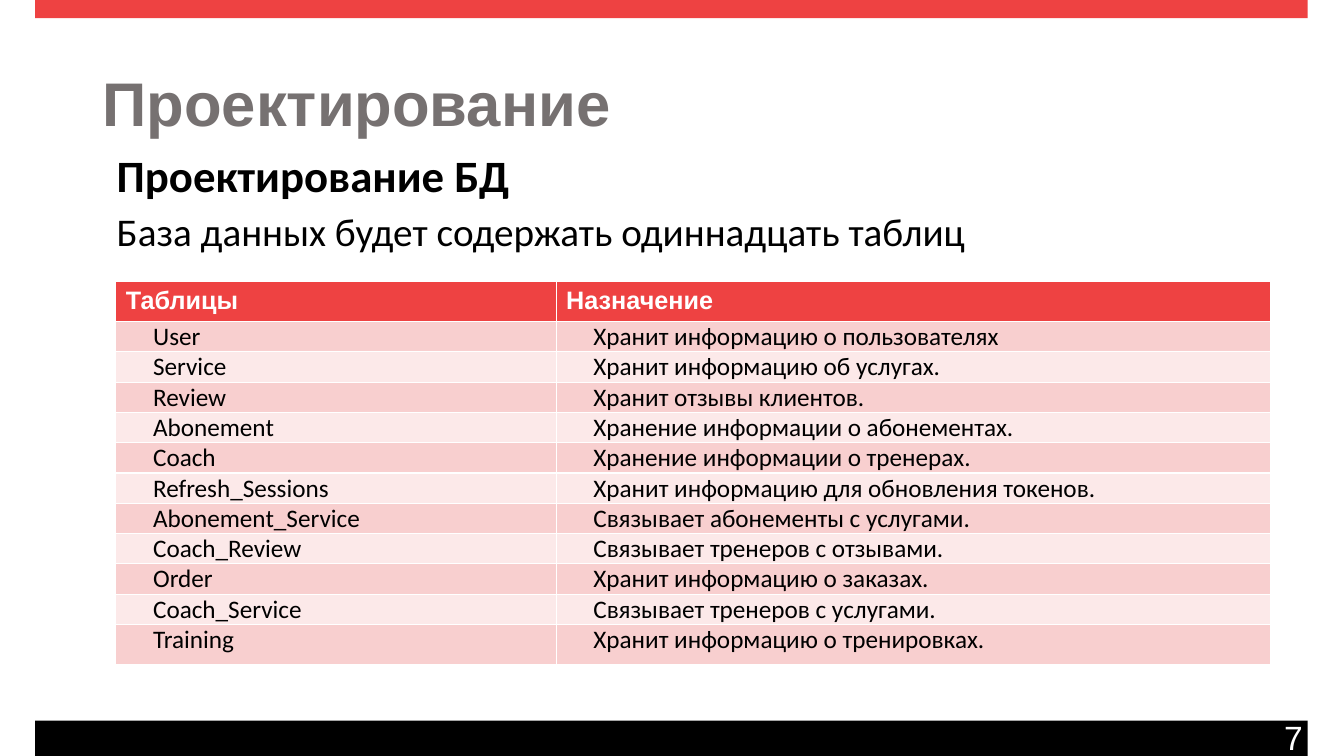
from dataclasses import dataclass

from pptx import Presentation
from pptx import util as u
from pptx.dml.color import RGBColor
from pptx.enum import shapes, text


@dataclass(frozen=True)
class Theme:
    red: str = "EE4242"
    black: str = "000000"
    white: str = "FFFFFF"
    gray: str = "767171"
    bands: tuple = ("F8CFCF", "FCE9E9")
    head: str = "Arial"
    body: str = "Calibri"
    title: int = 44
    sub: int = 32
    lead: int = 28
    page: int = 24
    cell: int = 18


class Deck:
    """Draws styled elements on one slide, with lengths in percent of its size."""

    def __init__(self, theme):
        self.theme = theme
        self.prs = Presentation()
        self.prs.slide_width = u.Inches(13.34)
        self.prs.slide_height = u.Inches(7.5)
        self.slide = self.prs.slides.add_slide(self.prs.slide_layouts[6])

    def wide(self, share):
        return u.Emu(round(self.prs.slide_width * share / 100))

    def high(self, share):
        return u.Emu(round(self.prs.slide_height * share / 100))

    def area(self, x, y, w, h):
        return self.wide(x), self.high(y), self.wide(w), self.high(h)

    def paint(self, fill, color):
        fill.solid()
        fill.fore_color.rgb = RGBColor.from_string(color)

    def bar(self, box, color, line=False):
        bar = self.slide.shapes.add_shape(shapes.MSO_SHAPE.RECTANGLE, *self.area(*box))
        bar.shadow.inherit = False
        self.paint(bar.fill, color)
        if line:
            self.paint(bar.line.fill, color)
            bar.line.width = u.Pt(1)
        else:
            bar.line.fill.background()

    def style(self, para, size, face, color, bold=False):
        font = para.font
        font.size, font.name, font.bold = u.Pt(size), face, bold
        font.color.rgb = RGBColor.from_string(color)

    def indent(self, para, left=0, first=0):
        props = para._p.get_or_add_pPr()
        props.set("marL", str(u.Inches(left)))
        props.set("indent", str(u.Inches(first)))

    def label(self, box, words, *look, left=0, space=1.0):
        frame = self.slide.shapes.add_textbox(*self.area(*box)).text_frame
        frame.word_wrap = True
        frame.text = words
        para = frame.paragraphs[0]
        para.line_spacing = space
        self.indent(para, left)
        self.style(para, *look)
        return frame

    def title(self, box, words):
        t = self.theme
        frame = self.label(box, words, t.title, t.head, t.gray, True, space=0.9)
        frame.vertical_anchor = text.MSO_ANCHOR.MIDDLE

    def page(self, box, words):
        t = self.theme
        frame = self.label(box, words, t.page, t.head, t.white)
        frame.margin_left = frame.margin_top = frame.margin_bottom = 0
        frame.paragraphs[0].alignment = text.PP_ALIGN.RIGHT

    def table(self, x, y, cols, rows, data):
        t = self.theme
        box = self.area(x, y, sum(cols), sum(rows))
        table = self.slide.shapes.add_table(len(rows), len(cols), *box).table
        table.horz_banding = False
        for col, w in zip(table.columns, cols):
            col.width = self.wide(w)
        for i, (row, h, line) in enumerate(zip(table.rows, rows, data)):
            row.height = self.high(h)
            for cell, words in zip(row.cells, line):
                cell.text = words
                para = cell.text_frame.paragraphs[0]
                if i == 0:
                    self.paint(cell.fill, t.red)
                    self.style(para, t.cell, t.head, t.white, True)
                    continue
                self.paint(cell.fill, t.bands[(i - 1) % 2])
                cell.margin_left = cell.margin_right = u.Inches(0.07)
                cell.margin_top = cell.margin_bottom = 0
                self.indent(para, first=0.3)
                self.style(para, t.cell, t.body, t.black)

    def save(self):
        self.prs.save("out.pptx")


DATA = [
    ("Таблицы", "Назначение"),
    ("User", "Хранит информацию о пользователях"),
    ("Service", "Хранит информацию об услугах."),
    ("Review", "Хранит отзывы клиентов."),
    ("Abonement", "Хранение информации о абонементах."),
    ("Coach", "Хранение информации о тренерах."),
    ("Refresh_Sessions", "Хранит информацию для обновления токенов."),
    ("Abonement_Service", "Связывает абонементы с услугами."),
    ("Coach_Review", "Связывает тренеров с отзывами."),
    ("Order", "Хранит информацию о заказах."),
    ("Coach_Service", "Связывает тренеров с услугами."),
    ("Training", "Хранит информацию о тренировках."),
]


def main():
    t = Theme()
    deck = Deck(t)
    deck.bar((2.62, 0, 94.68, 2.4), t.red)
    deck.bar((2.62, 95.33, 94.68, 4.67), t.black)
    deck.bar((2.92, 96.13, 90.18, 3.07), t.black, line=True)
    deck.page((93.1, 94.8, 4.57, 5.33), "7")
    deck.title((6.9, 4.4, 86.2, 19.33), "Проектирование")
    deck.label((4.2, 25.87, 94.75, 8.13), "База данных будет содержать одиннадцать таблиц",
               t.lead, t.body, t.black, left=0.5, space=1.15)
    deck.label((4.2, 17.87, 71.5, 9.07), "Проектирование БД",
               t.sub, t.body, t.black, True, left=0.5, space=1.15)
    rows = [5.33] + [4] * (len(DATA) - 2) + [5.33]
    deck.table(8.62, 37.2, (32.76, 53.15), rows, DATA)
    deck.save()


if __name__ == "__main__":
    main()
